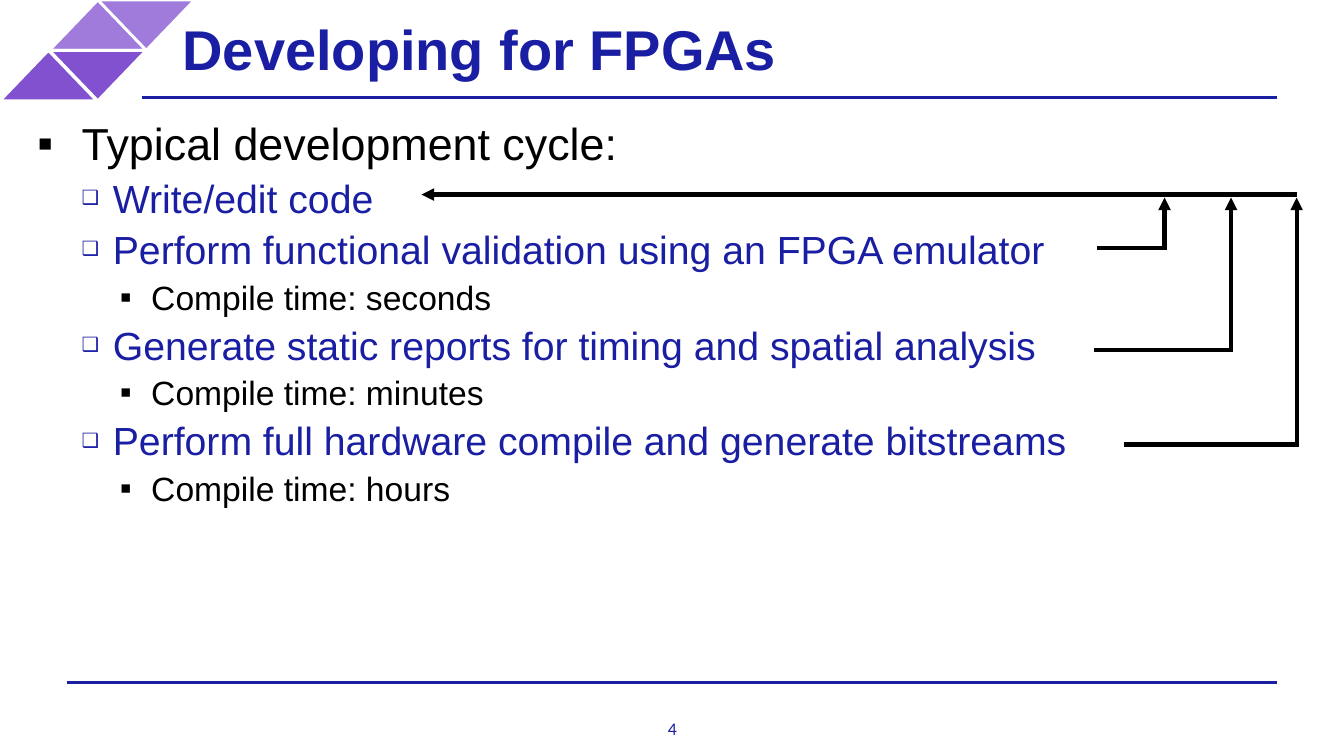
import pptx
import pptx.util
import pptx.dml.color
import pptx.enum.shapes
import pptx.enum.text
import pptx.oxml
import pptx.oxml.ns
import lxml.etree

Inches = pptx.util.Inches
Pt = pptx.util.Pt
MSO = pptx.enum.text
qn = pptx.oxml.ns.qn
NAVY = "191EA2"
BLACK = "000000"


def color(hue):
    return pptx.dml.color.RGBColor.from_string(hue)


def rule(x1, y1, x2, y2, hue, width, arrow=False):
    line = slide.shapes.add_connector(
        pptx.enum.shapes.MSO_CONNECTOR.STRAIGHT,
        Inches(x1), Inches(y1), Inches(x2), Inches(y2))
    line.line.color.rgb = color(hue)
    line.line.width = Pt(width)
    if arrow:
        lxml.etree.SubElement(line.line._get_or_add_ln(), qn("a:tailEnd"), type="triangle")
    lxml.etree.SubElement(line._element.spPr, qn("a:effectLst"))


deck = pptx.Presentation()
deck.slide_width = Inches(13.33)
deck.slide_height = Inches(7.5)
slide = deck.slides.add_slide(deck.slide_layouts[1])

rule(0.66, 6.77, 12.67, 6.77, NAVY, 2)
for x, y, turn, hue in [
    (0.97, 0, 180, "A07BDB"),
    (0.49, 0, 0, "A07BDB"),
    (0.49, 0.5, 180, "8151CF"),
    (0, 0.5, 0, "8151CF"),
]:
    tile = slide.shapes.add_shape(
        pptx.enum.shapes.MSO_SHAPE.ISOSCELES_TRIANGLE,
        Inches(x), Inches(y), Inches(0.96), Inches(0.5))
    tile.rotation = turn
    tile.shadow.inherit = False
    tile.fill.solid()
    tile.fill.fore_color.rgb = color(hue)
    tile.line.color.rgb = color("FFFFFF")
    tile.line.width = Pt(2)
rule(1.41, 0.97, 12.67, 0.97, NAVY, 2)

title = slide.shapes.title
title.left, title.top = Inches(1.67), Inches(0)
title.width, title.height = Inches(10.3), Inches(0.95)
frame = title.text_frame
frame.text = "Developing for FPGAs"
frame.auto_size = MSO.MSO_AUTO_SIZE.NONE
frame.vertical_anchor = MSO.MSO_ANCHOR.MIDDLE
frame.margin_left = frame.margin_right = Inches(0.14)
frame.margin_top = frame.margin_bottom = Inches(0.14)
head = frame.paragraphs[0]
head.alignment = MSO.PP_ALIGN.LEFT
head.font.name = "Arial"
head.font.size = Pt(40)
head.font.bold = True
head.font.color.rgb = color(NAVY)

styles = [
    (32, BLACK, 6, 0.5, 0.44, "▪", 100),
    (28, NAVY, 3, 0.81, 0.31, "❑", 50),
    (24, BLACK, 3, 1.19, 0.31, "▪", 100),
]
items = [
    (0, "Typical development cycle:"),
    (1, "Write/edit code"),
    (1, "Perform functional validation using an FPGA emulator"),
    (2, "Compile time: seconds"),
    (1, "Generate static reports for timing and spatial analysis"),
    (2, "Compile time: minutes"),
    (1, "Perform full hardware compile and generate bitstreams"),
    (2, "Compile time: hours"),
]
body = slide.placeholders[1]
body.left, body.top = Inches(0.31), Inches(1.15)
body.width, body.height = Inches(11.22), Inches(5.55)
frame = body.text_frame
frame.text = "\n".join(text for level, text in items)
frame.auto_size = MSO.MSO_AUTO_SIZE.NONE
frame.margin_left = frame.margin_right = 0
frame.margin_top = frame.margin_bottom = 0
for para, (level, text) in zip(frame.paragraphs, items):
    size, hue, gap, left, hang, mark, scale = styles[level]
    para.level = level
    para.space_before = Pt(gap)
    props = para._p.get_or_add_pPr()
    props.set("marL", str(Inches(left)))
    props.set("indent", str(-Inches(hang)))
    tint = lxml.etree.SubElement(props, qn("a:buClr"))
    lxml.etree.SubElement(tint, qn("a:srgbClr"), val=hue)
    lxml.etree.SubElement(props, qn("a:buSzPct"), val=str(scale * 1000))
    lxml.etree.SubElement(props, qn("a:buFont"), typeface="Arial")
    lxml.etree.SubElement(props, qn("a:buChar"), char=mark)
    para.font.name = "Arial"
    para.font.size = Pt(size)
    para.font.color.rgb = color(hue)

for start, turn, y in [(10.88, 11.55, 2.46), (10.85, 12.21, 3.47), (11.15, 12.86, 4.41)]:
    rule(start, y, turn + 0.02, y, BLACK, 3)
    rule(turn, y, turn, 1.96, BLACK, 3, True)
rule(12.86, 1.93, 4.18, 1.93, BLACK, 3, True)

page = slide.shapes.add_textbox(Inches(6.62), Inches(7.12), Inches(0.1), Inches(0.21))
frame = page.text_frame
frame.text = "4"
frame.word_wrap = False
frame.margin_left = frame.margin_right = 0
frame.margin_top = frame.margin_bottom = 0
label = frame.paragraphs[0]
label.alignment = MSO.PP_ALIGN.CENTER
label.font.name = "Calibri"
label.font.size = Pt(12.7)
label.font.color.rgb = color(NAVY)

deck.save("out.pptx")
